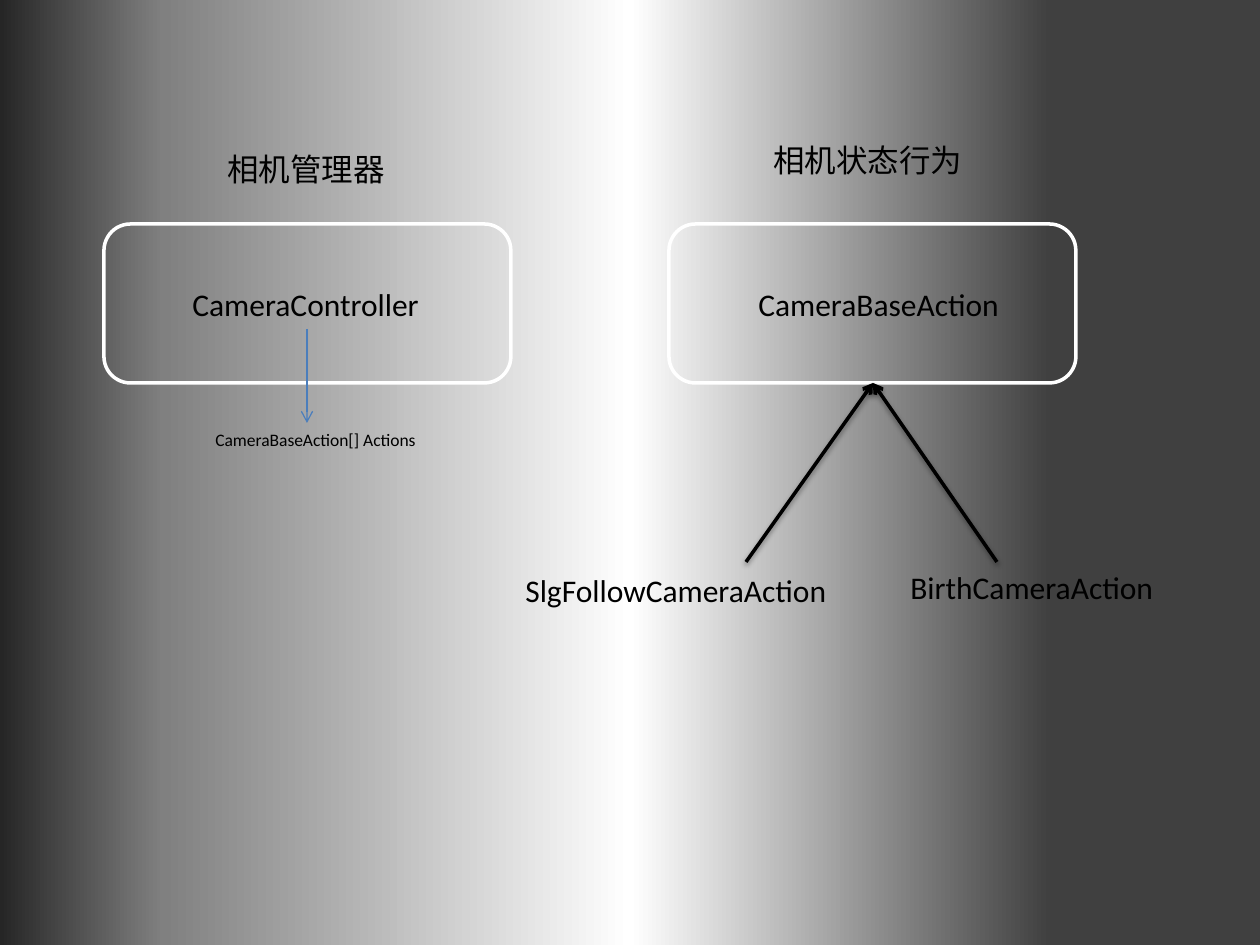
from lxml import etree
from pptx import Presentation
from pptx.dml.color import RGBColor as RGB
from pptx.enum.shapes import MSO_CONNECTOR as LINK, MSO_SHAPE as SHAPE
from pptx.enum.text import MSO_AUTO_SIZE as FIT
from pptx.oxml.ns import qn
from pptx.util import Pt

PX = 914400 // 126
COLORS = {"ink": "000000", "edge": "FFFFFF", "blue": "4B7EBC"}
GRAD = [(0, "404040"), (17, "424242"), (50, "FFFFFF"), (87, "808080"), (100, "262626")]
LATIN, HAN = "Calibri", "Noto Sans CJK SC"

# left, top, width, height
BOXES = [(104, 224, 407, 159), (669, 224, 407, 159)]
# text, left, top, width, height, size, font
LABELS = [
    ("CameraController", 180, 279, 255, 50, 18, LATIN),
    ("CameraBaseAction", 746, 279, 268, 50, 18, LATIN),
    ("SlgFollowCameraAction", 513, 565, 330, 50, 18, LATIN),
    ("BirthCameraAction", 898, 562, 271, 50, 18, LATIN),
    ("相机管理器", 215, 144, 184, 50, 18, HAN),
    ("相机状态行为", 761, 135, 217, 50, 18, HAN),
    ("CameraBaseAction[] Actions", 203, 423, 229, 34, 10, LATIN),
]
# start x, start y, end x, end y, color, width, shadow
ARROWS = [
    (746, 562, 873, 383, "ink", 2, True),
    (997, 562, 873, 383, "ink", 2, True),
    (307, 329, 307, 423, "blue", 0.75, False),
]


def color(name):
    return RGB.from_string(COLORS[name])


def sub(parent, tag, **attrs):
    return etree.SubElement(parent, qn(tag), {k: str(v) for k, v in attrs.items()})


def paint(slide):
    """Fill the background with the gray gradient, running right to left."""
    fill = slide.background.fill
    fill.gradient()
    fill.gradient_angle = 180
    stops = slide.element.find(".//" + qn("a:gsLst"))
    for stop in list(stops):
        stops.remove(stop)
    for pos, tone in GRAD:
        sub(sub(stops, "a:gs", pos=pos * 1000), "a:srgbClr", val=tone)


def add_box(slide, area):
    box = slide.shapes.add_shape(SHAPE.ROUNDED_RECTANGLE, *(n * PX for n in area))
    box.shadow.inherit = False
    box.fill.background()
    box.line.color.rgb = color("edge")
    box.line.width = Pt(2)


def add_label(slide, text, x, y, w, h, size, face):
    frame = slide.shapes.add_textbox(x * PX, y * PX, w * PX, h * PX).text_frame
    frame.text = text
    frame.word_wrap = False
    frame.auto_size = FIT.SHAPE_TO_FIT_TEXT
    font = frame.paragraphs[0].runs[0].font
    font.size = Pt(size)
    font.name = face
    font.color.rgb = color("ink")
    if face == HAN:
        sub(frame.paragraphs[0].runs[0].font._element, "a:ea", typeface=face)


def add_arrow(slide, x1, y1, x2, y2, tone, width, shade):
    link = slide.shapes.add_connector(LINK.STRAIGHT, x1 * PX, y1 * PX, x2 * PX, y2 * PX)
    link.line.color.rgb = color(tone)
    link.line.width = Pt(width)
    sub(link.line._get_or_add_ln(), "a:tailEnd", type="arrow")
    effect = sub(link.element.spPr, "a:effectLst")
    if shade:
        outer = sub(effect, "a:outerShdw", blurRad=Pt(3.1), dist=Pt(1.6),
                    dir=90 * 60000, rotWithShape=0)
        sub(sub(outer, "a:srgbClr", val=COLORS["ink"]), "a:alpha", val=38000)


def main():
    deck = Presentation()
    deck.slide_width, deck.slide_height = 1260 * PX, 945 * PX
    slide = deck.slides.add_slide(deck.slide_layouts[6])
    paint(slide)
    for area in BOXES:
        add_box(slide, area)
    for arrow in ARROWS:
        add_arrow(slide, *arrow)
    for label in LABELS:
        add_label(slide, *label)
    deck.save("out.pptx")


if __name__ == "__main__":
    main()
